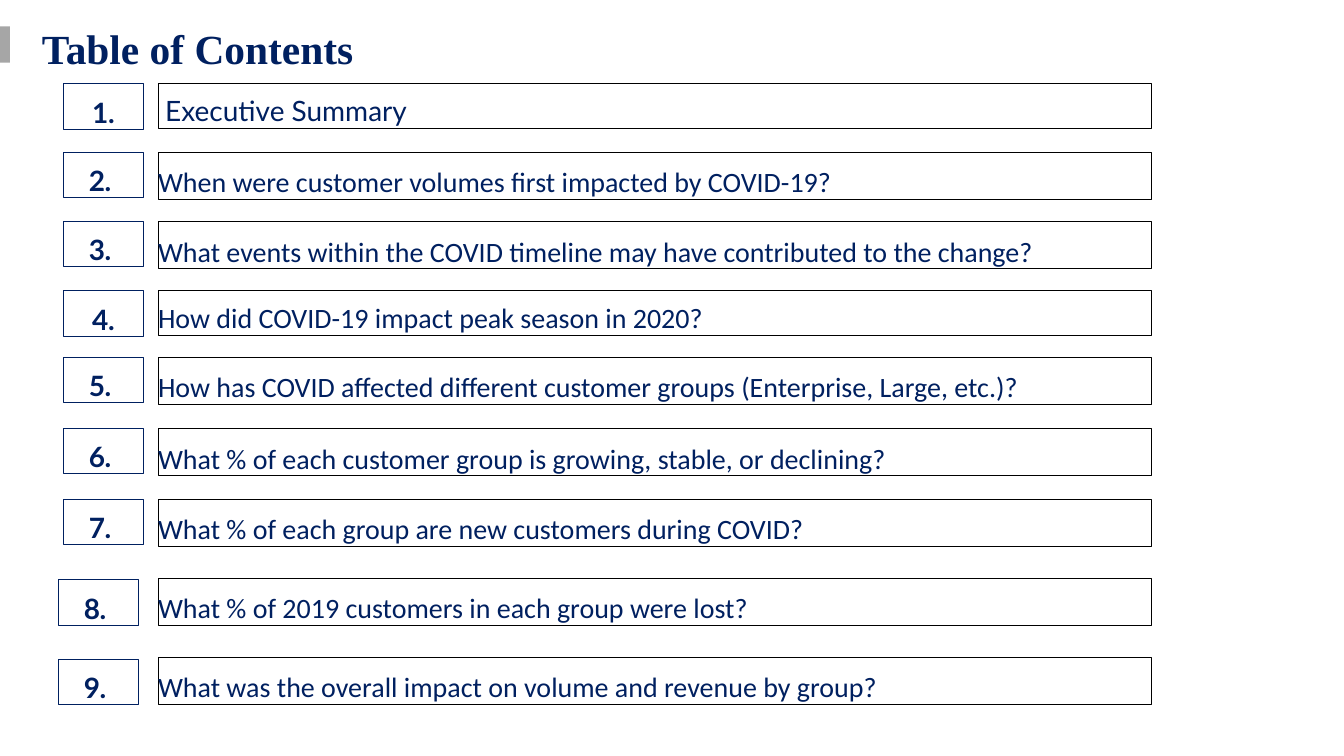
from pptx import Presentation
from pptx.dml.color import RGBColor
from pptx.enum import shapes, text
from pptx.util import Pt

NAVY = RGBColor(0x00, 0x20, 0x60)
GREY = RGBColor(0xA6, 0xA6, 0xA6)
WHITE = RGBColor(0xFF, 0xFF, 0xFF)
BLACK = RGBColor(0x00, 0x00, 0x00)

deck = Presentation()
deck.slide_width, deck.slide_height = Pt(1152), Pt(648)
slide = deck.slides.add_slide(deck.slide_layouts[6])


def add_box(left, top, width, height, fill=None, line=None, line_width=0.5):
    box = slide.shapes.add_shape(shapes.MSO_SHAPE.RECTANGLE, Pt(left), Pt(top), Pt(width), Pt(height))
    box.shadow.inherit = False
    if fill is None:
        box.fill.background()
    else:
        box.fill.solid()
        box.fill.fore_color.rgb = fill
    if line is None:
        box.line.fill.background()
    else:
        box.line.color.rgb = line
        box.line.width = Pt(line_width)
    return box


def write(box, words, inset_left, inset_top, space_before, font, align=text.PP_ALIGN.LEFT):
    frame = box.text_frame
    frame_format = {
        "margin_left": Pt(inset_left),
        "margin_top": Pt(inset_top),
        "margin_right": 0,
        "margin_bottom": 0,
        "word_wrap": True,
        "vertical_anchor": text.MSO_ANCHOR.TOP,
        "auto_size": text.MSO_AUTO_SIZE.SHAPE_TO_FIT_TEXT,
    }
    for key, value in frame_format.items():
        setattr(frame, key, value)
    line = frame.paragraphs[0]
    line.alignment = align
    line.space_before = Pt(space_before)
    run = line.add_run()
    run.text = words
    run.font.color.rgb = NAVY
    for key, value in font.items():
        setattr(run.font, key, value)
    return run


TITLE_FONT = {"name": "Times New Roman", "size": Pt(35.5), "bold": True}
NUMBER_FONT = {"name": "Lato", "size": Pt(24), "bold": True}
SUMMARY_FONT = {"name": "Lato", "size": Pt(24), "bold": False}
QUESTION_FONT = {"name": "Calibri", "size": Pt(24), "bold": False}

add_box(0, 22.5, 8.5, 31.2, GREY)
heading = add_box(34.6, 18, 1104.5, 43.9, WHITE)
write(heading, "Table of Contents", 1.4, 1.4, 1.2, TITLE_FONT)

NUMBER_LEFT, OUTDENTED_LEFT, NUMBER_WIDTH = 54.5, 50.2, 68.4
TOPIC_LEFT, TOPIC_WIDTH = 135.5, 851.8

topics = [
    (71.3, " Executive Summary"),
    (130.5, "When were customer volumes first impacted by COVID-19?"),
    (189.8, "What events within the COVID timeline may have contributed to the change?"),
    (249, "How did COVID-19 impact peak season in 2020?"),
    (306.3, "How has COVID affected different customer groups (Enterprise, Large, etc.)?"),
    (367.3, "What % of each customer group is growing, stable, or declining?"),
    (428, "What % of each group are new customers during COVID?"),
    (495.5, "What % of 2019 customers in each group were lost?"),
    (563.3, "What was the overall impact on volume and revenue by group?"),
]
number_drops = {8: 1.4, 9: 1.9}

for number, (top, topic) in enumerate(topics, start=1):
    centred = number in (1, 4)
    left = OUTDENTED_LEFT if number in number_drops else NUMBER_LEFT
    number_box = add_box(left, top + number_drops.get(number, 0), NUMBER_WIDTH,
                         39.6 if centred else 38.9, WHITE, NAVY, 0.75)
    if centred:
        numeral = write(number_box, f"{number}.", 0, 10.6, 10.6, NUMBER_FONT, text.PP_ALIGN.CENTER)
    else:
        numeral = write(number_box, f"{number}.", 21.6, 9.7, 9.7, NUMBER_FONT)
    numeral.font._element.set("spc", "-30")

    topic_box = add_box(TOPIC_LEFT, top, TOPIC_WIDTH, 38.4 if centred else 40.3, line=BLACK)
    topic_font = SUMMARY_FONT if number == 1 else QUESTION_FONT
    write(topic_box, topic, 0, 8.9 if centred else 10.8, 0, topic_font)

deck.save("out.pptx")
